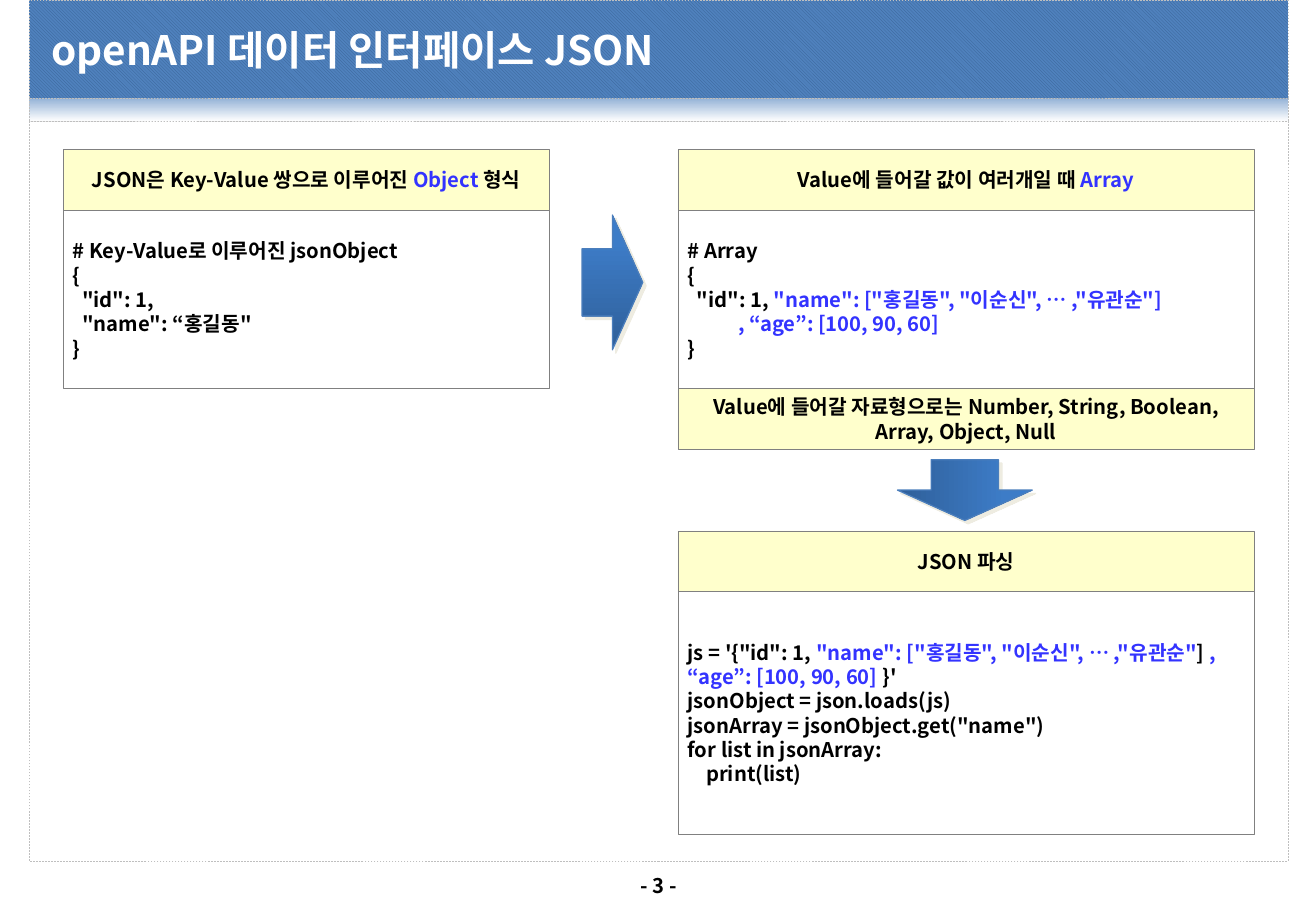
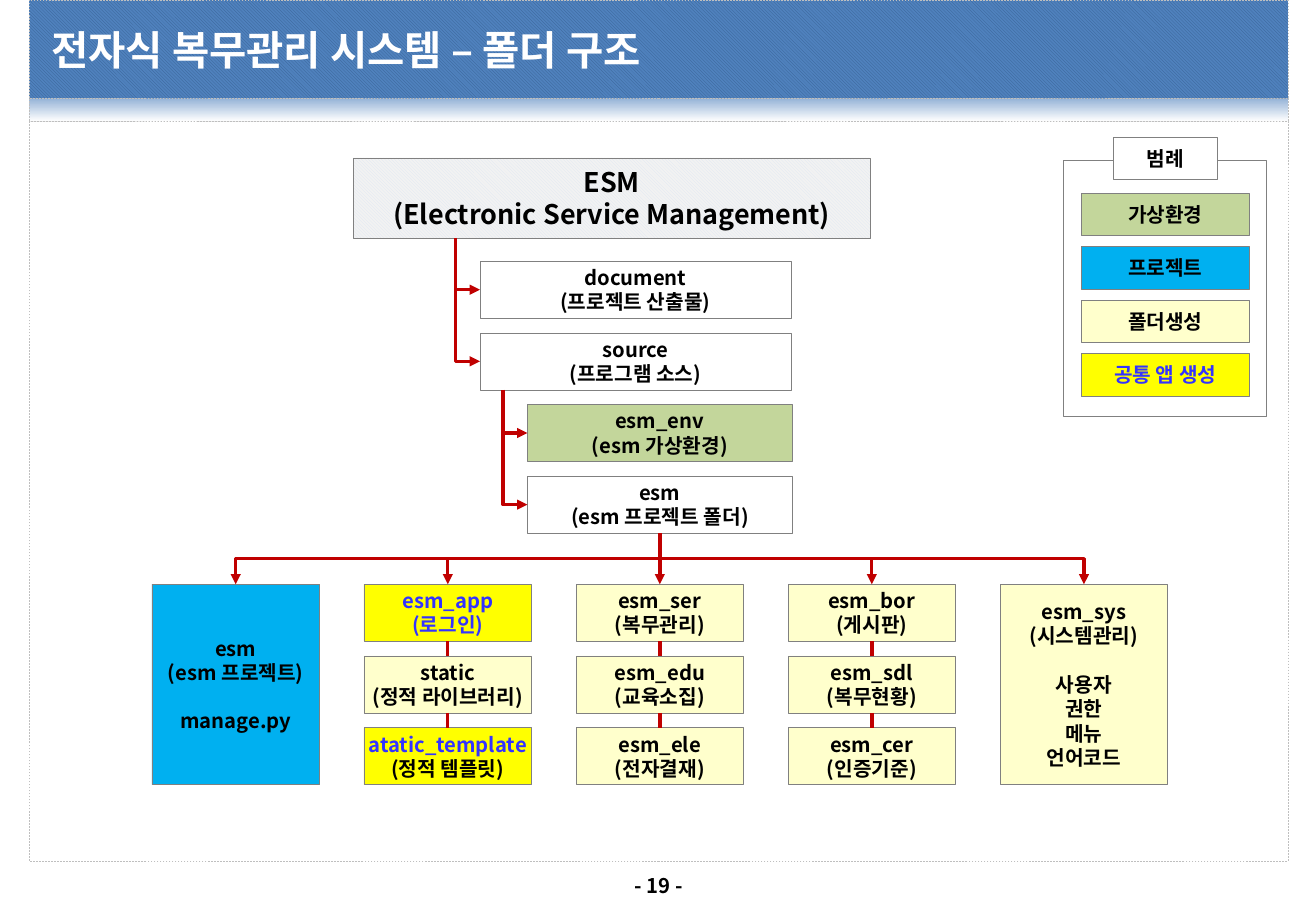
from lxml import etree
from pptx import Presentation
from pptx.dml.color import RGBColor
from pptx.enum.dml import MSO_LINE, MSO_PATTERN
from pptx.enum.shapes import MSO_CONNECTOR, MSO_SHAPE
from pptx.enum.text import MSO_ANCHOR, PP_ALIGN
from pptx.oxml.ns import qn
from pptx.util import Inches, Pt

RECTANGLE, RIGHT_ARROW = MSO_SHAPE.RECTANGLE, MSO_SHAPE.RIGHT_ARROW
STRAIGHT, ELBOW = MSO_CONNECTOR.STRAIGHT, MSO_CONNECTOR.ELBOW
DIAGONAL = MSO_PATTERN.LIGHT_DOWNWARD_DIAGONAL
LEFT, CENTER, MIDDLE, TOP = PP_ALIGN.LEFT, PP_ALIGN.CENTER, MSO_ANCHOR.MIDDLE, MSO_ANCHOR.TOP
BOTTOM_SITE, TOP_SITE = 2, 0

FONT = "Noto Sans CJK KR"
LINE_FACTOR = 1.2
COLORS = {
    "black": "000000", "white": "FFFFFF", "blue": "3333FF",
    "cream": "FFFFCC", "green": "C3D69B", "cyan": "00B0F0", "yellow": "FFFF00",
    "outline": "808080", "frame": "BFBFBF", "link": "C00000",
    "band": "4F81BD", "band_hatch": "376092", "fade": "95B3D7",
    "root": "F2F2F2", "root_hatch": "DCE6F2",
    "arrow_dark": "2F5F99", "arrow_mid": "3D7CC7", "arrow_light": "3A7CCB",
    "arrow_line": "4B7EBC", "arrow_shadow": "EEECE1",
}

BOX_HEIGHT, ROW_STEP = 0.47, 0.59
COLUMN_WIDTH = 1.38


def color(name):
    return RGBColor.from_string(COLORS[name])


def add_element(parent, tag, **attributes):
    element = etree.SubElement(parent, qn(tag))
    for name, value in attributes.items():
        element.set(name, str(value))
    return element


def set_attributes(target, values):
    for name, value in values.items():
        setattr(target, name, value)


def write_text(shape, paragraphs, size=12, default="black", align=CENTER,
               anchor=MIDDLE, insets=(0.04, 0.04), wrap=False, gaps=()):
    """Fill a shape; a paragraph is a string or a list of (text, colour) runs.

    Paragraphs whose index is in gaps get one line of space before them.
    """
    frame = shape.text_frame
    side, end = (Inches(inset) for inset in insets)
    set_attributes(frame, {
        "margin_left": side, "margin_right": side, "margin_top": end,
        "margin_bottom": end, "vertical_anchor": anchor, "word_wrap": wrap})
    line_height = Pt(size * LINE_FACTOR)
    for index, runs in enumerate(paragraphs):
        paragraph = frame.add_paragraph() if index else frame.paragraphs[0]
        set_attributes(paragraph, {
            "alignment": align, "line_spacing": line_height,
            "space_before": line_height if index in gaps else Pt(0)})
        for text, run_color in [(runs, default)] if isinstance(runs, str) else runs:
            run = paragraph.add_run()
            run.text = text
            set_attributes(run.font, {"name": FONT, "size": Pt(size), "bold": True})
            run.font.color.rgb = color(run_color)
            add_element(run.font._element, "a:ea", typeface=FONT)


def add_box(slide, area, fill=None, paragraphs=(), line="outline", width=0.25,
            kind=RECTANGLE, **text_format):
    shape = slide.shapes.add_shape(kind, *map(Inches, area))
    shape.shadow.inherit = False
    if fill:
        shape.fill.solid()
        shape.fill.fore_color.rgb = color(fill)
    shape.line.color.rgb = color(line)
    shape.line.width = Pt(width)
    if paragraphs:
        write_text(shape, paragraphs, **text_format)
    return shape


def hatch(shape, foreground, background):
    shape.fill.patterned()
    shape.fill.pattern = DIAGONAL
    shape.fill.fore_color.rgb = color(foreground)
    shape.fill.back_color.rgb = color(background)


def shade(shape, stops, angle):
    """Give a gradient of (percent, colour) stops at a counter-clockwise angle."""
    shape.fill.gradient()
    shape.fill.gradient_angle = angle
    stop_list = shape._element.spPr.find(qn("a:gradFill")).find(qn("a:gsLst"))
    for stop in list(stop_list):
        stop_list.remove(stop)
    for percent, name in stops:
        stop = add_element(stop_list, "a:gs", pos=percent * 1000)
        add_element(stop, "a:srgbClr", val=COLORS[name])


def add_label(slide, area, text, **text_format):
    write_text(slide.shapes.add_textbox(*map(Inches, area)), [text], **text_format)


def add_frame(presentation, title, number):
    """Add a slide with the title band, content frame and page number."""
    slide = presentation.slides.add_slide(presentation.slide_layouts[6])
    left, width = 0.24, 10.36
    fade, _, band = [
        add_box(slide, (left, top, width, height), "white", line="frame")
        for top, height in ((0.81, 0.19), (1, 6.09), (0, 0.81))]
    for shape in slide.shapes:
        shape.line.dash_style = MSO_LINE.DASH
    shade(fade, [(0, "fade"), (100, "white")], 270)
    hatch(band, "band_hatch", "band")
    add_label(slide, (0.38, 0.08, 10.09, 0.66), title, size=24, default="white",
              align=LEFT, wrap=True)
    add_label(slide, (5.08, 7.14, 0.68, 0.3), f"- {number} -", anchor=TOP,
              insets=(0.1, 0.05))
    return slide


def add_panel(slide, left, top, width, body_height, heading, code, footer=None):
    """Stack a heading, a code body and an optional footer."""
    bar = 0.5
    parts = [(heading, bar, "cream", CENTER), (code, body_height, "white", LEFT)]
    if footer:
        parts.append((footer, bar, "cream", CENTER))
    for paragraphs, height, fill, align in parts:
        add_box(slide, (left, top, width, height), fill, paragraphs, align=align,
                insets=(0.08, 0.08), wrap=True)
        top += height


def add_block_arrow(slide, left, top, rotation=0):
    arrow = add_box(slide, (left, top, 0.5, 1.11), line="arrow_line", width=0.75,
                    kind=RIGHT_ARROW)
    arrow.rotation = rotation
    shade(arrow, [(0, "arrow_dark"), (80, "arrow_mid"), (100, "arrow_light")], 90)
    effects = arrow._element.spPr.find(qn("a:effectLst"))
    shadow = add_element(effects, "a:outerShdw", dist=Pt(2.8), dir=45 * 60000,
                         algn="ctr", rotWithShape=0)
    add_element(shadow, "a:srgbClr", val=COLORS["arrow_shadow"])


def style_link(connector, arrow=True):
    connector.line.color.rgb = color("link")
    connector.line.width = Pt(2)
    properties = connector._element.spPr
    if arrow:
        add_element(properties.find(qn("a:ln")), "a:tailEnd", type="triangle")
    add_element(properties, "a:effectLst")


def link_down(slide, upper, lower, arrow=False):
    connector = slide.shapes.add_connector(STRAIGHT, 0, 0, 0, 0)
    connector.begin_connect(upper, BOTTOM_SITE)
    connector.end_connect(lower, TOP_SITE)
    style_link(connector, arrow)


def link_elbow(slide, start, end, preset):
    """Draw an elbow that leaves start downwards, as a turned preset."""
    (start_x, start_y), (end_x, end_y) = start, end
    length, breadth = end_y - start_y, abs(end_x - start_x)
    left = (start_x + end_x - length) // 2
    top = (start_y + end_y - breadth) // 2
    connector = slide.shapes.add_connector(ELBOW, left, top, left + length, top + breadth)
    properties = connector._element.spPr
    properties.find(qn("a:prstGeom")).set("prst", preset)
    transform = properties.find(qn("a:xfrm"))
    rightward = end_x > start_x
    transform.set("rot", str((270 if rightward else 90) * 60000))
    if rightward:
        transform.set("flipH", "1")
    style_link(connector)


def link_children(slide, parent, children):
    """Link a parent's bottom edge to the left sides of indented children."""
    for child in children:
        start = child.left - Inches(0.2), parent.top + parent.height
        end = child.left, child.top + child.height // 2
        link_elbow(slide, start, end, "bentConnector2")


def add_legend(slide, left, top):
    add_box(slide, (left, top + 0.19, 1.67, 2.11), "white")
    add_box(slide, (left + 0.41, top, 0.86, 0.35), "white", ["범례"])
    entries = [("가상환경", "green", "black"), ("프로젝트", "cyan", "black"),
               ("폴더생성", "cream", "black"), ("공통 앱 생성", "yellow", "blue")]
    for index, (text, fill, text_color) in enumerate(entries):
        add_box(slide, (left + 0.15, top + 0.46 + 0.44 * index, COLUMN_WIDTH, 0.35),
                fill, [text], default=text_color)


def add_folder_tree(slide, left, top):
    """Draw the upper folders and return the project folder."""
    root = add_box(slide, (left, top, 4.25, 0.66), None,
                   ["ESM", "(Electronic Service Management)"], size=16,
                   insets=(0.04, 0.08))
    hatch(root, "root_hatch", "root")
    folders = [
        (1.04, 2.56, "white", ["document", "(프로젝트 산출물)"]),
        (1.04, 2.56, "white", ["source", "(프로그램 소스)"]),
        (1.43, 2.18, "green", ["esm_env", "(esm 가상환경)"]),
        (1.43, 2.18, "white", ["esm", "(esm 프로젝트 폴더)"]),
    ]
    document, source, environment, project = [
        add_box(slide, (left + indent, top + 0.85 + ROW_STEP * row, width, BOX_HEIGHT),
                fill, text)
        for row, (indent, width, fill, text) in enumerate(folders)]
    link_children(slide, root, [document, source])
    link_children(slide, source, [environment, project])
    return project


def add_app_columns(slide, project, left, top, width):
    """Spread five columns of apps over the width and link them to the project."""
    tall = 2 * ROW_STEP + BOX_HEIGHT
    columns = [
        [("cyan", ["esm", "(esm 프로젝트)", "manage.py"])],
        [("yellow", [[("esm_app", "blue")], [("(로그인)", "blue")]]),
         ("cream", ["static", "(정적 라이브러리)"]),
         ("yellow", [[("atatic_template", "blue")], "(정적 템플릿)"])],
        [("cream", ["esm_ser", "(복무관리)"]), ("cream", ["esm_edu", "(교육소집)"]),
         ("cream", ["esm_ele", "(전자결재)"])],
        [("cream", ["esm_bor", "(게시판)"]), ("cream", ["esm_sdl", "(복무현황)"]),
         ("cream", ["esm_cer", "(인증기준)"])],
        [("cream", ["esm_sys", "(시스템관리)", "사용자", "권한", "메뉴", "언어코드"])],
    ]
    step = (width - COLUMN_WIDTH) / (len(columns) - 1)
    start = project.left + project.width // 2, project.top + project.height
    for index, column in enumerate(columns):
        height = tall if len(column) == 1 else BOX_HEIGHT
        boxes = [
            add_box(slide, (left + step * index, top + ROW_STEP * row, COLUMN_WIDTH, height),
                    fill, text, gaps=(2,))
            for row, (fill, text) in enumerate(column)]
        for upper, lower in zip(boxes, boxes[1:]):
            link_down(slide, upper, lower)
        if index == len(columns) // 2:
            link_down(slide, project, boxes[0], arrow=True)
        else:
            end = boxes[0].left + boxes[0].width // 2, boxes[0].top
            link_elbow(slide, start, end, "bentConnector3")


def build_json_slide(presentation):
    slide = add_frame(presentation, "openAPI 데이터 인터페이스 JSON", 3)
    names = '"name": ["홍길동", "이순신", … ,"유관순"'
    add_panel(
        slide, 0.52, 1.23, 4, 1.47,
        [[("JSON은 Key-Value 쌍으로 이루어진 ", "black"), ("Object ", "blue"),
          ("형식", "black")]],
        ["# Key-Value로 이루어진 jsonObject", "{", '  "id": 1,', '  "name": “홍길동"', "}"])
    add_panel(
        slide, 5.58, 1.23, 4.74, 1.47,
        [[("Value에 들어갈 값이 여러개일 때 ", "black"), ("Array", "blue")]],
        ["# Array", "{", [('  "id": 1, ', "black"), (names + "]", "blue")],
         [("           , “age”: [100, 90, 60]", "blue")], "}"],
        ["Value에 들어갈 자료형으로는 Number, String, Boolean, Array, Object, Null"])
    add_panel(
        slide, 5.58, 4.37, 4.74, 2, ["JSON 파싱"],
        [[("js = '{\"id\": 1, ", "black"), (names, "blue"), ("]", "black"),
          (" , “age”: [100, 90, 60] ", "blue"), ("}'", "black")],
         "jsonObject = json.loads(js)", 'jsonArray = jsonObject.get("name")',
         "for list in jsonArray:", "    print(list)"])
    add_block_arrow(slide, 4.79, 1.77)
    add_block_arrow(slide, 7.69, 3.48, rotation=90)


def build_folder_slide(presentation):
    slide = add_frame(presentation, "전자식 복무관리 시스템 – 폴더 구조", 19)
    add_legend(slide, 8.75, 1.13)
    project = add_folder_tree(slide, 2.91, 1.3)
    add_app_columns(slide, project, 1.25, 4.81, 8.36)


def main():
    presentation = Presentation()
    presentation.slide_width = Inches(10.83)
    presentation.slide_height = Inches(7.5)
    build_json_slide(presentation)
    build_folder_slide(presentation)
    presentation.save("out.pptx")


if __name__ == "__main__":
    main()
